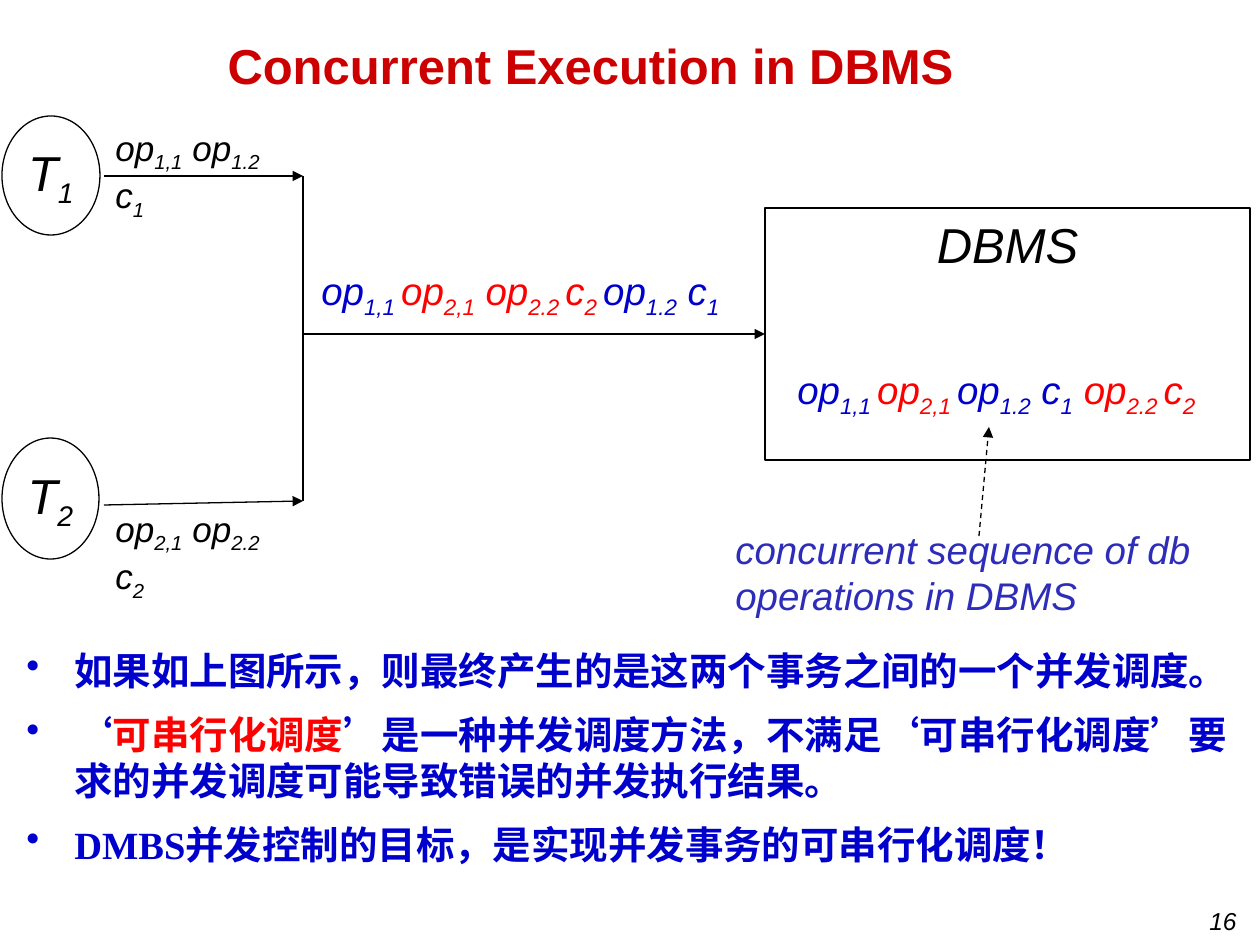
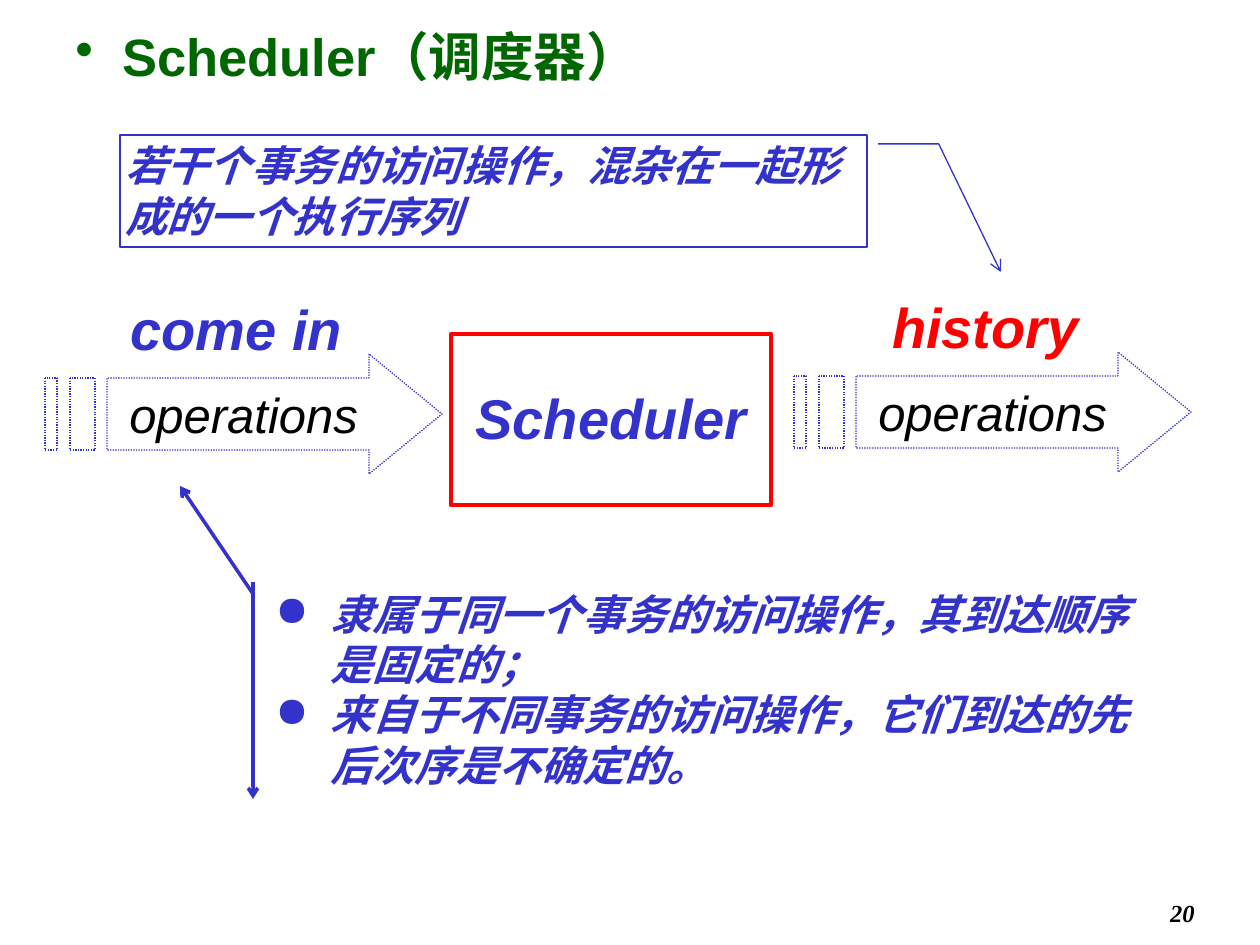
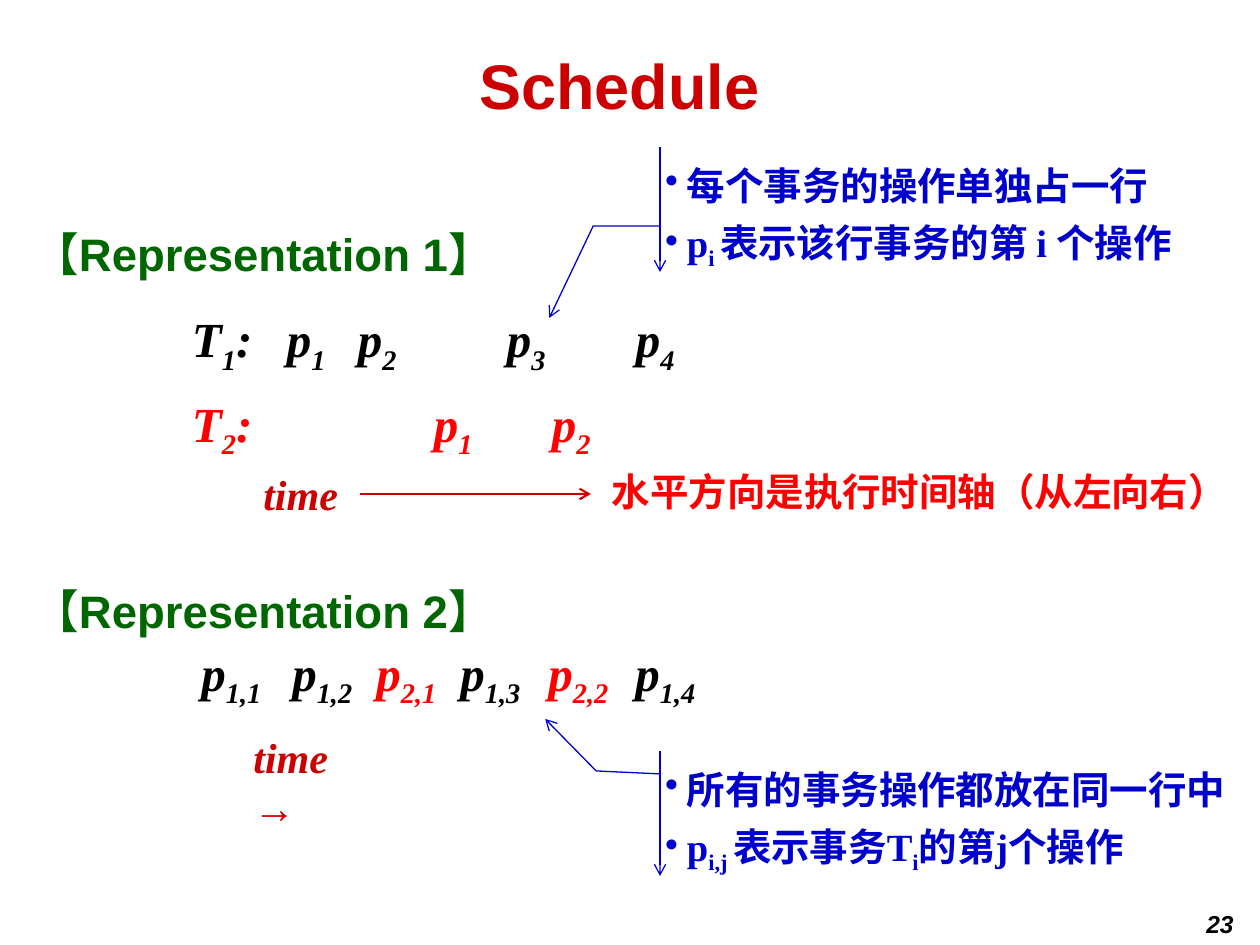
from lxml import etree
from pptx import Presentation
from pptx.dml.color import RGBColor
from pptx.enum.dml import MSO_LINE
from pptx.enum.shapes import MSO_CONNECTOR, MSO_SHAPE
from pptx.enum.text import MSO_ANCHOR, PP_ALIGN
from pptx.oxml.ns import qn
from pptx.util import Emu, Pt

SCALE = 914400 / 126
COLOURS = {
    "black": "000000", "white": "FFFFFF", "title": "CC0000", "red": "FF0000",
    "blue": "0000CC", "indigo": "3333CC", "caption": "2D2DB9", "green": "006600",
}
SANS, SERIF, CHINESE = "Arial", "Times New Roman", "Noto Sans CJK SC"
TOP, MIDDLE = MSO_ANCHOR.TOP, MSO_ANCHOR.MIDDLE
LEFT, CENTER, RIGHT = PP_ALIGN.LEFT, PP_ALIGN.CENTER, PP_ALIGN.RIGHT
RECTANGLE, ELLIPSE = MSO_SHAPE.RECTANGLE, MSO_SHAPE.OVAL
BORDER_CALLOUT = MSO_SHAPE.LINE_CALLOUT_2
BAR_CALLOUT = MSO_SHAPE.LINE_CALLOUT_1_ACCENT_BAR
BENT_BAR_CALLOUT = MSO_SHAPE.LINE_CALLOUT_2_ACCENT_BAR
STRAIGHT = MSO_CONNECTOR.STRAIGHT
DASH, DOT = MSO_LINE.DASH, MSO_LINE.ROUND_DOT
RECTANGLE_LEFT = 1

ITALIC = {"name": SANS, "italic": True}
BOLD = {"name": SANS, "bold": True}
BOLD_ITALIC = {"name": SANS, "bold": True, "italic": True}
SERIF_BOLD = {"name": SERIF, "bold": True}
SERIF_BOLD_ITALIC = {"name": SERIF, "bold": True, "italic": True}


def px(length):
    return Emu(round(length * SCALE))


def rgb(colour):
    return RGBColor.from_string(COLOURS[colour])


def apply(target, values):
    for name, value in values.items():
        setattr(target, name, value)


def add_run(paragraph, text, size, colour, font, subscript):
    run = paragraph.add_run()
    run.text = text
    run.font.size = Pt(size)
    run.font.color.rgb = rgb(colour)
    apply(run.font, font)
    properties = run._r.get_or_add_rPr()
    etree.SubElement(properties, qn("a:ea"), typeface=CHINESE)
    if subscript:
        properties.set("baseline", "-25000")


def add_bullet(paragraph, bullet, indent):
    properties = paragraph._p.get_or_add_pPr()
    properties.set("marL", str(px(indent)))
    properties.set("indent", str(-px(indent)))
    etree.SubElement(properties, qn("a:buChar"), char=bullet)


def add_tabs(paragraph, stops):
    tab_list = etree.SubElement(paragraph._p.get_or_add_pPr(), qn("a:tabLst"))
    for stop in stops:
        etree.SubElement(tab_list, qn("a:tab"), pos=str(px(stop)), algn="l")


def write(shape, paragraphs, size, colour, font, align=LEFT, anchor=TOP, wrap=True,
          margins=None, bullet=None, indent=0, tabs=(), layout=None):
    frame = shape.text_frame
    apply(frame, {"word_wrap": wrap, "vertical_anchor": anchor})
    if margins:
        sides = ("margin_left", "margin_top", "margin_right", "margin_bottom")
        apply(frame, {side: px(margin) for side, margin in zip(sides, margins)})
    for index, content in enumerate(paragraphs):
        paragraph = frame.add_paragraph() if index else frame.paragraphs[0]
        if bullet:
            add_bullet(paragraph, bullet, indent)
        if tabs:
            add_tabs(paragraph, tabs[index])
        apply(paragraph, {"alignment": align, **(layout or {})})
        pieces = [(colour, content)] if isinstance(content, str) else content
        for piece_colour, markup in pieces:
            for part, text in enumerate(markup.split("|")):
                if text:
                    add_run(paragraph, text, size, piece_colour, font, part % 2 == 1)


def add_text(slide, box, paragraphs, size, colour, font, **options):
    shape = slide.shapes.add_textbox(*map(px, box))
    write(shape, paragraphs, size, colour, font, **options)
    return shape


def set_line(line, colour, width, dash=None, arrow=None):
    line.color.rgb = rgb(colour)
    line.width = Pt(width)
    if dash:
        line.dash_style = dash
    if arrow:
        etree.SubElement(line._get_or_add_ln(), qn("a:tailEnd"), type=arrow)


def finish(shape, fill, colour, width, **line_options):
    shape.shadow.inherit = False
    if fill:
        shape.fill.solid()
        shape.fill.fore_color.rgb = rgb(fill)
    else:
        shape.fill.background()
    set_line(shape.line, colour, width, **line_options)


def add_box(slide, kind, box, fill, colour, width, **line_options):
    shape = slide.shapes.add_shape(kind, *map(px, box))
    finish(shape, fill, colour, width, **line_options)
    return shape


def add_line(slide, start, end, colour="black", width=0.75, **line_options):
    line = slide.shapes.add_connector(STRAIGHT, *map(px, (*start, *end)))
    set_line(line.line, colour, width, **line_options)
    etree.SubElement(line._element.spPr, qn("a:effectLst"))
    return line


def add_callout(slide, kind, box, points, colour, width, fill=None):
    shape = add_box(slide, kind, box, fill, colour, width, arrow="arrow")
    ratios = [ratio for x, y in points for ratio in (y / box[3], x / box[2])]
    for index, ratio in enumerate(ratios):
        shape.adjustments[index] = round(ratio, 3)
    return shape


def add_title(slide, box, text, size):
    add_text(slide, box, [text], size, "title", BOLD, align=CENTER, anchor=MIDDLE)


def add_page_number(slide, box, number, font):
    add_text(slide, box, [number], 14, "black", font, align=RIGHT)


def add_transaction(slide, box, number, operations, label_top, arrow_top, arrow_end):
    left, top, width, height = box
    ellipse = add_box(slide, ELLIPSE, box, "white", "black", 0.75)
    write(ellipse, [f"T|{number}|"], 28, "black", ITALIC,
          align=CENTER, anchor=MIDDLE, wrap=False)
    add_text(slide, (left + 101, top + label_top, 199, 62), [operations],
             20, "black", ITALIC)
    add_line(slide, (left + 102, top + arrow_top), (left + 301, top + arrow_end),
             arrow="triangle")


def add_dbms(slide, box):
    left, top, width, height = box
    dbms = add_box(slide, RECTANGLE, box, "white", "black", 0.75)
    write(dbms, ["DBMS"], 28, "black", ITALIC, align=CENTER)
    sequence = [("blue", "op|1,1 |"), ("red", "op|2,1 |"), ("blue", "op|1.2| c|1|"),
                ("red", " op|2.2 |c|2|")]
    add_text(slide, (left + 20, top + 152, 455, 59), [sequence], 22, "blue", ITALIC,
             wrap=False)
    add_text(slide, (left - 42, top + 312, 517, 105),
             ["concurrent sequence of db", "operations in DBMS"], 22, "caption", ITALIC)
    add_line(slide, (left + 214, top + 328), (left + 224, top + 219),
             dash=DASH, arrow="triangle")
    return dbms


def build_execution(slide):
    add_page_number(slide, (987, 900, 262, 34), "16", ITALIC)
    add_title(slide, (113, 23, 955, 84), "Concurrent Execution in DBMS", 28)
    add_transaction(slide, (2, 116, 98, 119), 1, "op|1,1| op|1.2| c|1|", 4, 60, 60)
    add_transaction(slide, (2, 438, 97, 121), 2, "op|2,1| op|2.2| c|2|", 63, 67, 63)
    add_line(slide, (303, 176), (303, 501))
    dbms = add_dbms(slide, (765, 208, 485, 252))
    merged = add_line(slide, (303, 334), (765, 334), arrow="triangle")
    merged.end_connect(dbms, RECTANGLE_LEFT)
    arrivals = [("blue", "op|1,1 |"), ("red", "op|2,1| op|2.2 |c|2 |"),
                ("blue", "op|1.2| c|1|")]
    add_text(slide, (309, 261, 455, 59), [arrivals], 22, "blue", ITALIC, wrap=False)
    conclusions = [
        "如果如上图所示，则最终产生的是这两个事务之间的一个并发调度。",
        [("blue", "‘"), ("red", "可串行化调度"),
         ("blue", "’是一种并发调度方法，不满足‘可串行化调度’要求的并发调度可能导致错误的并发执行结果。")],
        "DMBS并发控制的目标，是实现并发事务的可串行化调度！",
    ]
    add_text(slide, (14, 641, 1241, 234), conclusions, 22, "blue", SERIF_BOLD,
             bullet="•", indent=48, layout={"space_after": Pt(10)})


def add_flow(slide, box, caption, colour):
    left, top, width, height = box
    upper, lower, shoulder = 24, height - 24, width - 73
    outlines = [
        [(shoulder, 0), (shoulder, upper), (62, upper), (62, lower), (shoulder, lower),
         (shoulder, height), (width, height // 2)],
        *([(start, upper), (start, lower), (end, lower), (end, upper)]
          for start, end in ((25, 50), (0, 12))),
    ]
    builder = slide.shapes.build_freeform(*outlines[0][0], scale=SCALE)
    for index, outline in enumerate(outlines):
        if index:
            builder.move_to(*outline[0])
        builder.add_line_segments(outline[1:], close=True)
    arrow = builder.convert_to_shape(px(left), px(top))
    finish(arrow, None, "indigo", 0.75, dash=DOT)
    write(arrow, ["operations"], 28, "black", ITALIC,
          align=CENTER, anchor=MIDDLE, wrap=False)
    add_text(slide, (left + 56, top - 66, 271, 79), [caption], 32, colour, BOLD_ITALIC,
             align=CENTER)


def build_scheduler(slide):
    add_page_number(slide, (945, 892, 262, 42), "20", SERIF_BOLD_ITALIC)
    add_text(slide, (63, 18, 1134, 88), ["Scheduler（调度器）"], 30, "green", BOLD,
             bullet="•", indent=47)
    scheduler = add_box(slide, RECTANGLE, (451, 334, 320, 171), None, "red", 2.5)
    write(scheduler, ["Scheduler"], 32, "indigo", BOLD_ITALIC, align=CENTER,
          margins=(13, 49, 13, 49))
    add_flow(slide, (45, 354, 397, 120), "come in", "indigo")
    add_flow(slide, (794, 352, 397, 120), "history", "red")
    arrival = add_callout(slide, BAR_CALLOUT, (263, 582, 912, 217),
                          [(-10, 12), (-83, -96)], "indigo", 2, fill="white")
    write(arrival, ["隶属于同一个事务的访问操作，其到达顺序是固定的；",
                    "来自于不同事务的访问操作，它们到达的先后次序是不确定的。"],
          24, "indigo", SERIF_BOLD_ITALIC, bullet="●", indent=55)
    history = add_callout(slide, BORDER_CALLOUT, (120, 135, 747, 112),
                          [(758, 9), (819, 9), (881, 137)], "indigo", 0.75)
    write(history, ["若干个事务的访问操作，混杂在一起形成的一个执行序列"],
          24, "indigo", SERIF_BOLD_ITALIC, margins=(5, 5, 5, 5))


def add_representation(slide, box, number, notes, note_top, points):
    left, top, width, height = box
    heading = add_text(slide, box, [f"【Representation {number}】"], 26, "green", BOLD)
    runs = heading.text_frame.paragraphs[0].runs
    runs[0].font.name = SANS
    note = add_callout(slide, BENT_BAR_CALLOUT, (left + 639, top + note_top, 586, 125),
                       points, "blue", 0.75)
    write(note, notes, 22, "blue", SERIF_BOLD, margins=(5, 6, 13, 6),
          bullet="•", indent=22, layout={"line_spacing": 1.2})


def add_time_axis(slide, box):
    left, top, width, height = box
    add_text(slide, (left, top, 101, height), ["time"], 24, "title", SERIF_BOLD_ITALIC)
    add_line(slide, (left + 109, top + 32), (left + 340, top + 32), "title", 1.25,
             arrow="arrow")
    add_text(slide, (left + 361, top, width - 361, height),
             ["水平方向是执行时间轴（从左向右）"], 22, "red", SERIF_BOLD,
             margins=(0, 6, 0, 6))


def build_schedule(slide):
    add_page_number(slide, (1165, 903, 81, 40), "23", BOLD_ITALIC)
    add_title(slide, (84, 21, 1071, 126), "Schedule", 36)
    add_representation(slide, (21, 220, 538, 68), 1,
                       ["每个事务的操作单独占一行", "p|i |表示该行事务的第 i 个操作"],
                       -73, [(0, 79), (-67, 79), (-111, 171)])
    add_text(slide, (179, 304, 528, 151),
             ["T|1|:\tp|1|\tp|2|\tp|3|\tp|4|", [("red", "T|2|:\tp|1|\tp|2|")]],
             28, "black", SERIF_BOLD_ITALIC, margins=(13, 5, 13, 10),
             tabs=((95, 166, 315, 444), (242, 360)), layout={"space_after": Pt(10)})
    add_time_axis(slide, (251, 462, 995, 63))
    add_representation(slide, (21, 577, 538, 68), 2,
                       ["所有的事务操作都放在同一行中", "p|i,j |表示事务T|i|的第j个操作"],
                       174, [(0, 23), (-64, 20), (-115, -32)])
    history = [("black", "p|1,1|\tp|1,2|\t"), ("red", "p|2,1|\t"), ("black", "p|1,3|\t"),
               ("red", "p|2,2|\t"), ("black", "p|1,4|")]
    add_text(slide, (189, 636, 661, 72), [history], 28, "black", SERIF_BOLD_ITALIC,
             tabs=((91, 175, 259, 347, 434),))
    add_text(slide, (241, 725, 148, 63), ["time →"], 24, "title", SERIF_BOLD_ITALIC)


def main():
    presentation = Presentation()
    presentation.slide_width, presentation.slide_height = px(1260), px(945)
    for build in (build_execution, build_scheduler, build_schedule):
        build(presentation.slides.add_slide(presentation.slide_layouts[6]))
    presentation.save("out.pptx")


if __name__ == "__main__":
    main()
